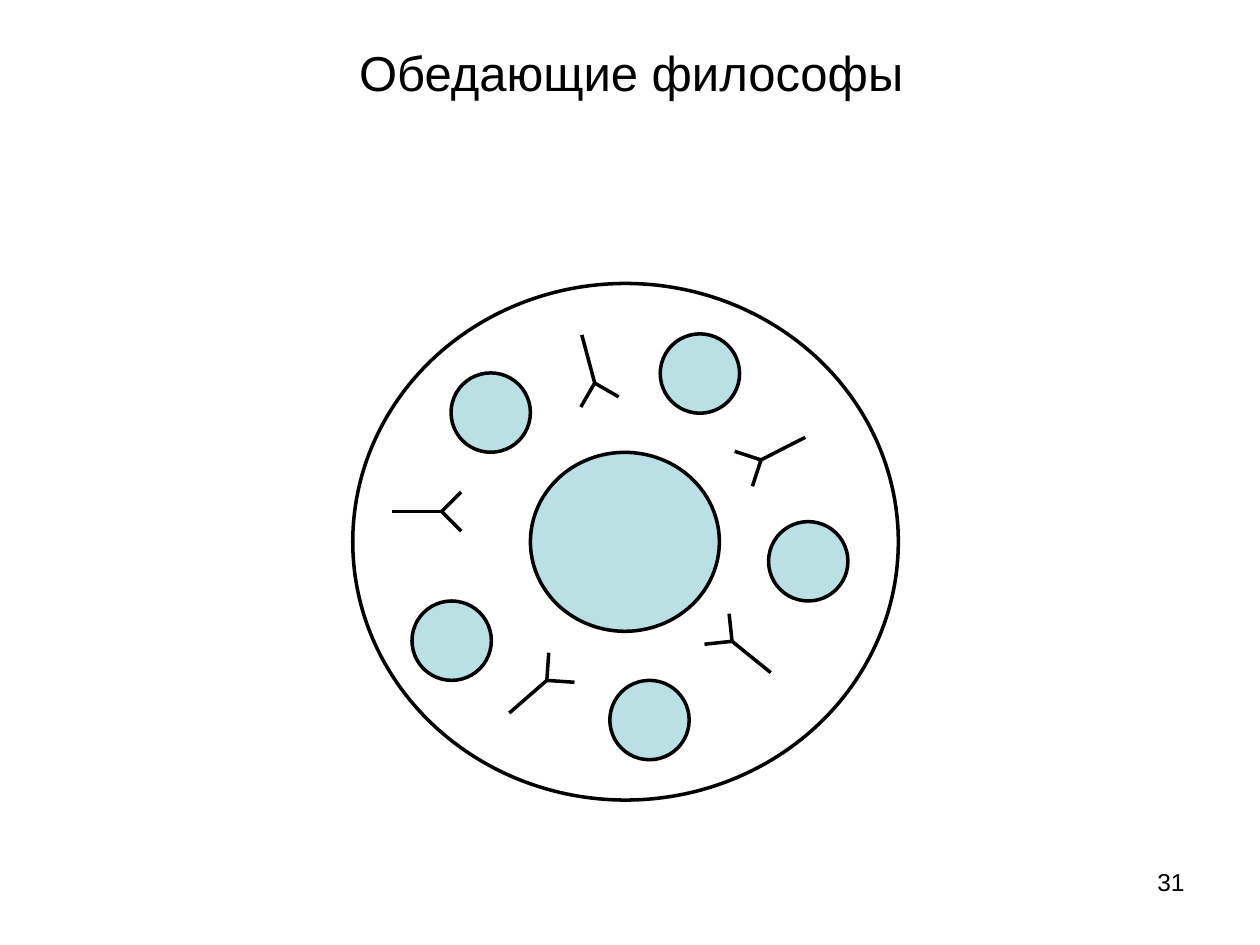
from dataclasses import dataclass
from math import cos, radians, sin
from typing import Optional

from lxml import etree
from pptx import Presentation
from pptx import util as u
from pptx.dml.color import RGBColor
from pptx.enum import shapes, text
from pptx.oxml.ns import qn

BLACK = RGBColor(0x00, 0x00, 0x00)
PLATE_BLUE = RGBColor(0xBB, 0xE0, 0xE3)

# The slide is a grid of 100 columns by 75 rows
COLUMNS, ROWS = 100, 75
CELL = u.Inches(0.1)
STROKE = u.Pt(2)

PLATE_SIZE = 6.3
HANDLE, TINE, TINE_ANGLE = 3.95, 2.2, 45


@dataclass(frozen=True)
class Dish:
    col: float
    row: float
    width: float = PLATE_SIZE
    height: float = PLATE_SIZE
    fill: Optional[RGBColor] = PLATE_BLUE


@dataclass(frozen=True)
class Fork:
    """Joint of handle and tines, and the direction the tines point to."""
    col: float
    row: float
    angle: float


TABLE = Dish(28, 22.5, 43.3, 41, fill=None)
BOWL = Dish(42.1, 35.9, 15, 14.2)
PLATES = [Dish(32.7, 47.7), Dish(35.8, 29.6), Dish(52.4, 26.5),
          Dish(48.4, 54), Dish(61, 41.4)]
FORKS = [Fork(35.05, 40.6, 0), Fork(47.2, 30.4, 75), Fork(60.4, 36.5, 153),
         Fork(58.1, 50.9, 219), Fork(43.4, 54, -41)]


def cells(count: float) -> int:
    return round(count * CELL)


def add_text(slide, words: str, *, col: float, row: float, width: float,
             height: float, size: float, align, anchor) -> None:
    box = slide.shapes.add_textbox(*map(cells, (col, row, width, height)))
    frame = box.text_frame
    frame.word_wrap = True
    frame.vertical_anchor = anchor
    paragraph = frame.paragraphs[0]
    paragraph.text = words
    paragraph.alignment = align
    paragraph.font.name = "Arial"
    paragraph.font.size = u.Pt(size)
    paragraph.font.color.rgb = BLACK


def draw_dish(slide, dish: Dish) -> None:
    oval = slide.shapes.add_shape(
        shapes.MSO_SHAPE.OVAL,
        *map(cells, (dish.col, dish.row, dish.width, dish.height)))
    oval.shadow.inherit = False
    if dish.fill is None:
        oval.fill.background()
    else:
        oval.fill.solid()
        oval.fill.fore_color.rgb = dish.fill
    oval.line.color.rgb = BLACK
    oval.line.width = STROKE


def draw_fork(slide, fork: Fork) -> None:
    group = slide.shapes.add_group_shape()
    strokes = [(HANDLE, 180), (TINE, -TINE_ANGLE), (TINE, TINE_ANGLE)]
    for length, turn in strokes:
        heading = radians(fork.angle + turn)
        stroke = group.shapes.add_connector(
            shapes.MSO_CONNECTOR.STRAIGHT,
            cells(fork.col), cells(fork.row),
            cells(fork.col + length * cos(heading)),
            cells(fork.row + length * sin(heading)))
        stroke.line.color.rgb = BLACK
        stroke.line.width = STROKE
        etree.SubElement(stroke._element.spPr, qn("a:effectLst"))


def main() -> None:
    deck = Presentation()
    deck.slide_width, deck.slide_height = cells(COLUMNS), cells(ROWS)
    slide = deck.slides.add_slide(deck.slide_layouts[6])

    # Page number and title
    add_text(slide, "31", col=71.7, row=68.3, width=23.3, height=5.2, size=14,
             align=text.PP_ALIGN.RIGHT, anchor=text.MSO_ANCHOR.TOP)
    add_text(slide, "Обедающие философы", col=5.1, row=2.1, width=90,
             height=7.2, size=28, align=text.PP_ALIGN.CENTER,
             anchor=text.MSO_ANCHOR.MIDDLE)

    # Table with the shared bowl, plates and forks
    for dish in [TABLE, BOWL, *PLATES]:
        draw_dish(slide, dish)
    for fork in FORKS:
        draw_fork(slide, fork)

    deck.save("out.pptx")


if __name__ == "__main__":
    main()
